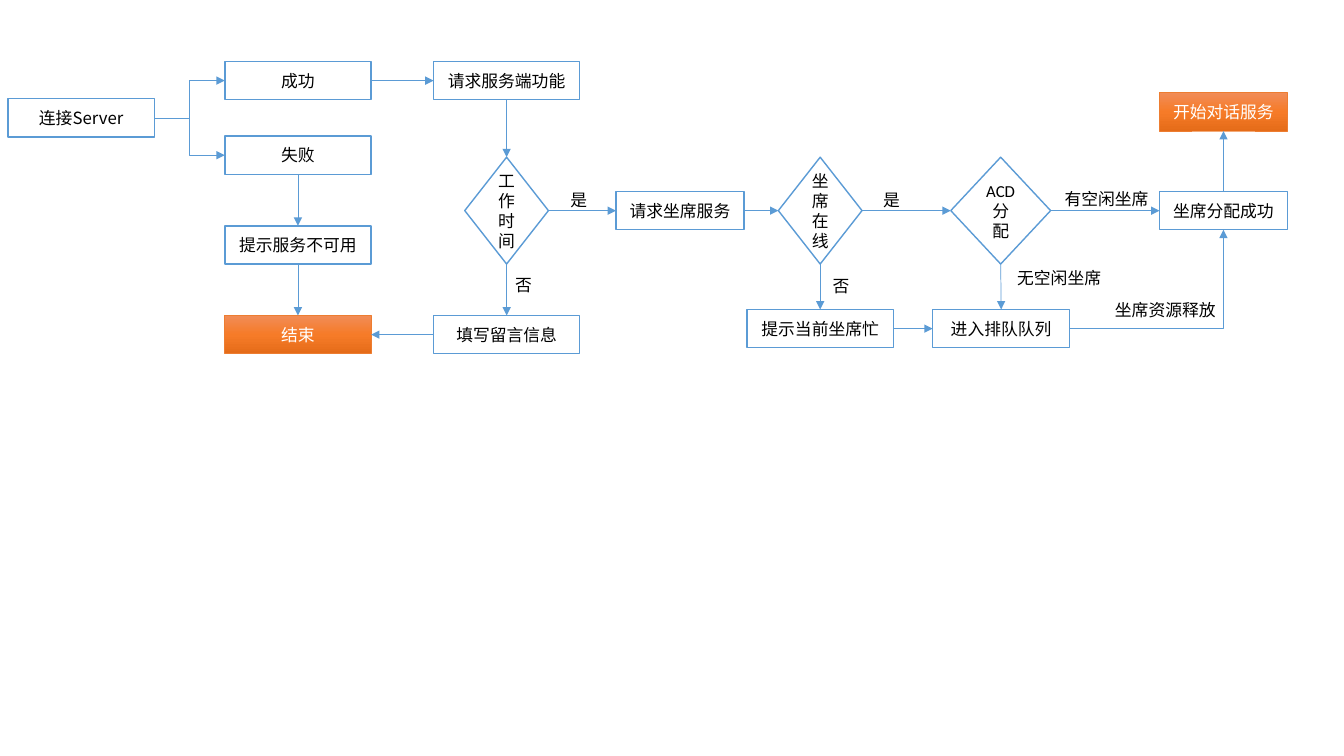
from copy import deepcopy

from lxml.etree import SubElement
from pptx import Presentation
from pptx.dml.color import RGBColor
from pptx.enum.shapes import MSO_CONNECTOR as Link, MSO_SHAPE as Kind
from pptx.enum.text import MSO_ANCHOR as Anchor, MSO_AUTO_SIZE as Fit, PP_ALIGN as Align
from pptx.oxml.ns import qn
from pptx.util import Inches, Pt

SANS, LATIN = "Noto Sans CJK SC", "Calibri"
BLUE, ORANGE, WHITE, BLACK = "5B9BD5", "ED7D31", "FFFFFF", "000000"
GLOW = [(0, "F18C57"), (0.5, "F67B28"), (1, "E56C19")]
TOP, LEFT, BASE, RIGHT = range(4)
WIDE, MID, SLIM, HIGH = 1.45, 1.36, 1.27, 0.38


def color(code):
    """Turn a hex string into a colour."""
    return RGBColor.from_string(code)


class Flow:
    """Style and current slide of the flow chart."""

    def __init__(self, slide):
        """Keep the slide's shapes."""
        self.shapes = slide.shapes

    def letter(self, shape, text, font, ink=BLACK):
        """Put one styled paragraph in a shape."""
        para = shape.text_frame.paragraphs[0]
        para.text = text
        para.font.size = Pt(12)
        para.font.name = font
        para.font.color.rgb = color(ink)
        return para

    def node(self, kind, text, box, font, ink=BLACK):
        """Add a white, blue-edged shape with centred text."""
        shape = self.shapes.add_shape(kind, *map(Inches, box))
        shape.shadow.inherit = False
        shape.fill.solid()
        shape.fill.fore_color.rgb = color(WHITE)
        shape.line.color.rgb = color(BLUE)
        shape.line.width = Pt(1)
        shape.text_frame.word_wrap = True
        shape.text_frame.vertical_anchor = Anchor.MIDDLE
        self.letter(shape, text, font, ink).alignment = Align.CENTER
        return shape

    def step(self, text, left, top, width=WIDE, ink=BLACK):
        """Add a process box."""
        return self.node(Kind.RECTANGLE, text, (left, top, width, HIGH), SANS, ink)

    def test(self, text, left, width=0.83):
        """Add a decision diamond on the middle row."""
        return self.node(Kind.DIAMOND, text, (left, 1.56, width, 1.06), LATIN)

    def end(self, text, left, top, width=WIDE):
        """Add an orange gradient box."""
        shape = self.step(text, left, top, width, WHITE)
        shape.line.color.rgb = color(ORANGE)
        shape.line.width = Pt(0.5)
        shape.fill.gradient()
        shape.fill.gradient_angle = 270
        stops = shape._element.spPr.find(".//" + qn("a:gsLst"))
        stops.append(deepcopy(stops[0]))
        for stop, (place, code) in zip(shape.fill.gradient_stops, GLOW):
            stop.position = place
            stop.color.rgb = color(code)
        return shape

    def label(self, text, left, top, width=0.37):
        """Add a branch label."""
        box = self.shapes.add_textbox(*map(Inches, (left, top, width, 0.3)))
        box.text_frame.word_wrap = False
        box.text_frame.auto_size = Fit.SHAPE_TO_FIT_TEXT
        self.letter(box, text, LATIN)

    def arrow(self, start, out, goal, into, kind=Link.STRAIGHT, bend=None):
        """Join two shapes with an arrow."""
        line = self.shapes.add_connector(kind, 0, 0, 0, 0)
        line.begin_connect(start, out)
        line.end_connect(goal, into)
        line.line.color.rgb = color(BLUE)
        line.line.width = Pt(0.5)
        props = line._element.spPr
        if bend:
            props.find(qn("a:prstGeom")).set("prst", bend)
        SubElement(props.find(qn("a:ln")), qn("a:tailEnd"), type="triangle")
        SubElement(props, qn("a:effectLst"))


deck = Presentation()
deck.slide_width, deck.slide_height = Inches(13.33), Inches(7.5)
flow = Flow(deck.slides.add_slide(deck.slide_layouts[6]))

server = flow.step("连接Server", 0.08, 0.98)
good = flow.step("成功", 2.23, 0.61)
bad = flow.step("失败", 2.23, 1.35)
ask = flow.step("请求服务端功能", 4.3, 0.61)
down = flow.step("提示服务不可用", 2.23, 2.24)
finish = flow.end("结束", 2.23, 3.13)
hours = flow.test("工作时间", 4.61)
seat = flow.step("请求坐席服务", 6.11, 1.9, SLIM)
note = flow.step("填写留言信息", 4.3, 3.13)
online = flow.test("坐席在线", 7.72)
busy = flow.step("提示当前坐席忙", 7.41, 3.07)
queue = flow.step("进入排队队列", 9.25, 3.07, MID)
assign = flow.test("ACD分配", 9.43, 0.99)
match = flow.step("坐席分配成功", 11.5, 1.9, SLIM)
talk = flow.end("开始对话服务", 11.5, 0.92, SLIM)

for start, goal in [(good, ask), (hours, seat), (seat, online), (online, assign),
                    (busy, queue), (assign, match)]:
    flow.arrow(start, RIGHT, goal, LEFT)
for start, goal in [(bad, down), (down, finish), (ask, hours), (hours, note),
                    (online, busy), (assign, queue)]:
    flow.arrow(start, BASE, goal, TOP)
for goal in (good, bad):
    flow.arrow(server, RIGHT, goal, LEFT, Link.ELBOW)
flow.arrow(note, LEFT, finish, RIGHT)
flow.arrow(match, TOP, talk, BASE)
flow.arrow(queue, RIGHT, match, BASE, Link.ELBOW, "bentConnector2")

for spot in [("是", 5.56, 1.83), ("否", 5.01, 2.68), ("是", 8.66, 1.83),
             ("否", 8.16, 2.69), ("无空闲坐席", 9.99, 2.61, 1.04),
             ("有空闲坐席", 10.46, 1.82, 1.04), ("坐席资源释放", 10.96, 2.92, 1.21)]:
    flow.label(*spot)

deck.save("out.pptx")
